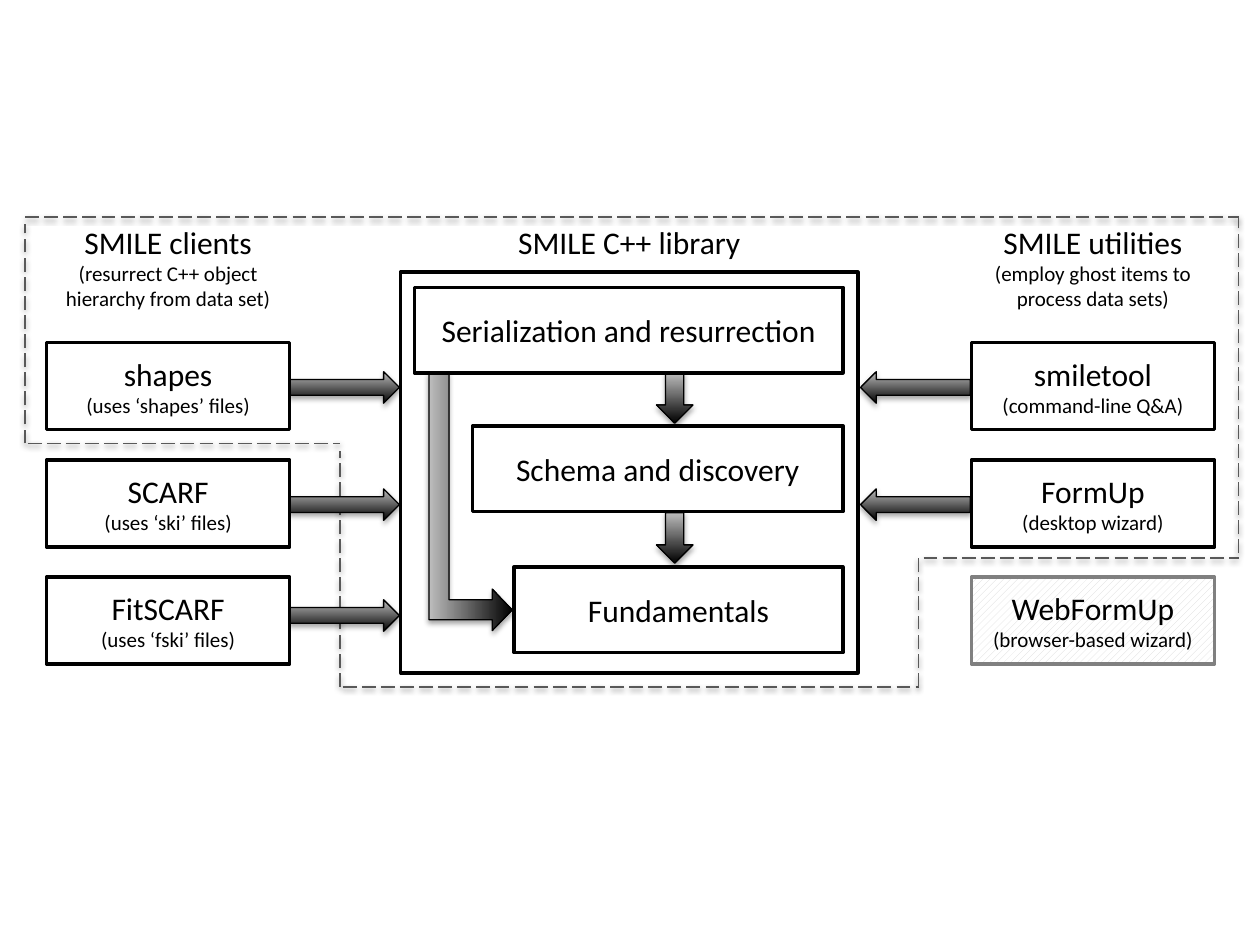
from pptx import Presentation
from pptx.dml.color import RGBColor
from pptx.enum.dml import MSO_LINE, MSO_PATTERN
from pptx.enum.shapes import MSO_CONNECTOR, MSO_SHAPE
from pptx.enum.text import MSO_ANCHOR, MSO_AUTO_SIZE, PP_ALIGN
from pptx.oxml import parse_xml
from pptx.oxml.ns import nsdecls, qn
from pptx.util import Inches, Pt

BLACK = RGBColor(0, 0, 0)
WHITE = RGBColor(255, 255, 255)
SILVER = RGBColor(0xBD, 0xBD, 0xBD)
HATCH = RGBColor(0xD9, 0xD9, 0xD9)
GRAY = RGBColor(0x80, 0x80, 0x80)
DASH_GRAY = RGBColor(0x59, 0x59, 0x59)


class Diagram:
    """Draws the boxes, captions, arrows and borders of one slide."""

    font = "Calibri"
    sizes = (18, 12)

    def __init__(self, slide):
        self.shapes = slide.shapes

    def add_lines(self, shape, lines):
        frame = shape.text_frame
        frame.word_wrap = True
        for index, line in enumerate(lines):
            paragraph = frame.add_paragraph() if index else frame.paragraphs[0]
            paragraph.alignment = PP_ALIGN.CENTER
            run = paragraph.add_run()
            run.text = line
            run.font.name = self.font
            run.font.size = Pt(self.sizes[index])
            run.font.color.rgb = BLACK

    def cast_shadow(self, shape, alpha, distance):
        shape.element.spPr.append(parse_xml(
            f'<a:effectLst {nsdecls("a")}><a:outerShdw blurRad="{Pt(3.1)}" '
            f'dist="{Pt(distance)}" dir="5400000" rotWithShape="0">'
            f'<a:srgbClr val="000000"><a:alpha val="{alpha * 1000}"/></a:srgbClr>'
            '</a:outerShdw></a:effectLst>'))

    def box(self, left, top, width, height, *lines, planned=False):
        shape = self.shapes.add_shape(MSO_SHAPE.RECTANGLE, *map(Inches, (left, top, width, height)))
        if planned:
            shape.fill.patterned()
            shape.fill.pattern = MSO_PATTERN.WIDE_UPWARD_DIAGONAL
            shape.fill.fore_color.rgb = HATCH
            shape.fill.back_color.rgb = WHITE
        else:
            shape.fill.solid()
            shape.fill.fore_color.rgb = WHITE
        shape.line.color.rgb = GRAY if planned else BLACK
        shape.line.width = Pt(2)
        shape.shadow.inherit = False
        shape.text_frame.vertical_anchor = MSO_ANCHOR.MIDDLE
        self.add_lines(shape, lines)

    def caption(self, left, top, width, height, *lines):
        shape = self.shapes.add_textbox(*map(Inches, (left, top, width, height)))
        self.add_lines(shape, lines)
        shape.text_frame.auto_size = MSO_AUTO_SIZE.SHAPE_TO_FIT_TEXT

    def arrow(self, kind, left, top, width, height, colors=(BLACK, SILVER), angle=90):
        shape = self.shapes.add_shape(kind, *map(Inches, (left, top, width, height)))
        shape.fill.gradient()
        shape.fill.gradient_angle = angle
        for stop, color in zip(shape.fill.gradient_stops, colors):
            stop.color.rgb = color
        shape.element.spPr.find(qn("a:gradFill")).set("rotWithShape", "0")
        shape.line.color.rgb = BLACK
        shape.line.width = Pt(0.75)
        self.cast_shadow(shape, 35, 1.8)
        return shape

    def border(self, *ends):
        line = self.shapes.add_connector(MSO_CONNECTOR.STRAIGHT, *map(Inches, ends))
        line.line.color.rgb = DASH_GRAY
        line.line.width = Pt(1)
        line.line.dash_style = MSO_LINE.LONG_DASH
        self.cast_shadow(line, 38, 1.6)


presentation = Presentation()
presentation.slide_width = Inches(10)
presentation.slide_height = Inches(7.5)
diagram = Diagram(presentation.slides.add_slide(presentation.slide_layouts[6]))

diagram.border(2.7, 5.45, 2.7, 3.58)
for top in (4.76, 3.88, 2.95):
    diagram.arrow(MSO_SHAPE.RIGHT_ARROW, 2.3, top, 0.87, 0.25)
for top in (3.88, 2.95):
    diagram.arrow(MSO_SHAPE.LEFT_ARROW, 6.83, top, 0.87, 0.25)

diagram.box(3.18, 2.16, 3.63, 3.18)
for top in (4.07, 2.96):
    diagram.arrow(MSO_SHAPE.DOWN_ARROW, 5.21, top, 0.29, 0.4)
bent_arrow = diagram.arrow(MSO_SHAPE.BENT_UP_ARROW, 2.71, 3.65, 2.05, 0.66, (SILVER, BLACK), 0)
bent_arrow.rotation = 90
for index, value in enumerate((0.24, 0.25, 0.24)):
    bent_arrow.adjustments[index] = value

LAYER_RIGHT = 6.69
for left, top, layer in (
    (3.29, 2.28, "Serialization and resurrection"),
    (3.75, 3.38, "Schema and discovery"),
    (4.08, 4.5, "Fundamentals"),
):
    diagram.box(left, top, LAYER_RIGHT - left, 0.68, layer)

diagram.caption(3.18, 1.72, 3.63, 0.4, "SMILE C++ library")
diagram.caption(7.71, 1.72, 1.93, 0.81, "SMILE utilities", "(employ ghost items to process data sets)")
diagram.caption(0.33, 1.72, 2.01, 0.81, "SMILE clients", "(resurrect C++ object hierarchy from data set)")

CLIENTS = (
    ("shapes", "(uses ‘shapes’ files)"),
    ("SCARF", "(uses ‘ski’ files)"),
    ("FitSCARF", "(uses ‘fski’ files)"),
)
UTILITIES = (
    ("smiletool", "(command-line Q&A)"),
    ("FormUp", "(desktop wizard)"),
    ("WebFormUp", "(browser-based wizard)"),
)
for left, programs in ((0.37, CLIENTS), (7.71, UTILITIES)):
    for row, program in enumerate(programs):
        planned = program[0].startswith("Web")
        diagram.box(left, 2.72 + 0.93 * row, 1.93, 0.69, *program, planned=planned)

for ends in (
    (2.72, 5.45, 7.29, 5.45),
    (0.22, 3.52, 2.7, 3.52),
    (7.33, 4.43, 9.83, 4.43),
    (0.2, 1.72, 9.83, 1.72),
    (7.29, 5.45, 7.29, 4.43),
    (0.2, 3.52, 0.2, 1.78),
    (9.83, 4.39, 9.83, 1.72),
):
    diagram.border(*ends)

presentation.save("out.pptx")
